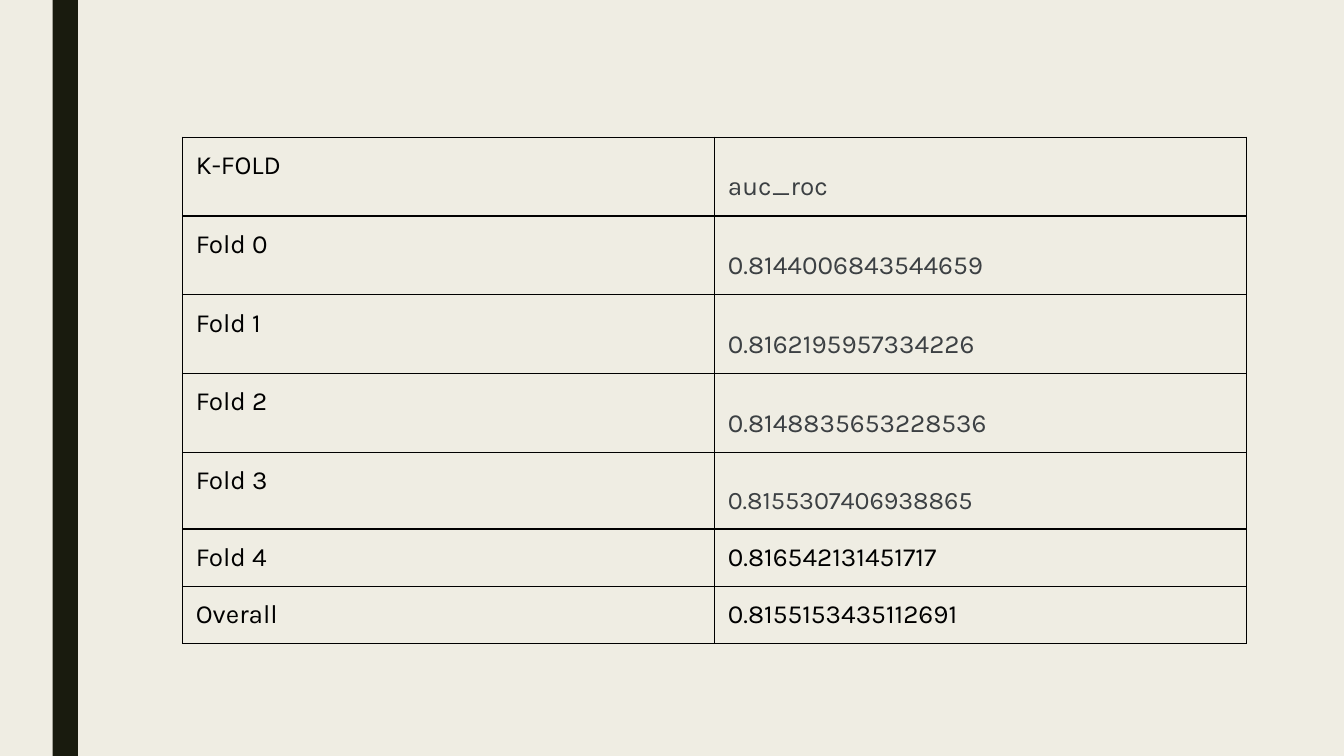
import pptx
import pptx.util
import pptx.dml.color
import pptx.enum.shapes
import pptx.oxml
import pptx.oxml.ns
from dataclasses import dataclass

Pt = pptx.util.Pt
RGB = pptx.dml.color.RGBColor.from_string


@dataclass(frozen=True)
class Theme:
    back: str = "EFEDE3"
    bar: str = "191B0E"
    ink: str = "000000"
    gray: str = "3C4043"
    font: str = "Karla"
    size: float = 14
    small: float = 13.5
    pad: float = 7.2
    rule: float = 0.75
    lead: float = 1.7


THEME = Theme()

# Label, score, whether the score is gray and widely led, score size
ROWS = [
    ("K-FOLD", "auc_roc", True, THEME.size),
    ("Fold 0", "0.8144006843544659", True, THEME.size),
    ("Fold 1", "0.8162195957334226", True, THEME.size),
    ("Fold 2", "0.8148835653228536", True, THEME.size),
    ("Fold 3", "0.8155307406938865", True, THEME.small),
    ("Fold 4", "0.816542131451717", False, THEME.size),
    ("Overall", "0.8155153435112691", False, THEME.size),
]


def add_bar(slide, left, top, width, height):
    bar = slide.shapes.add_shape(
        pptx.enum.shapes.MSO_SHAPE.RECTANGLE,
        Pt(left), Pt(top), Pt(width), Pt(height))
    bar.shadow.inherit = False
    bar.fill.solid()
    bar.fill.fore_color.rgb = RGB(THEME.bar)
    bar.line.fill.background()


def set_edges(cell):
    props = cell._tc.get_or_add_tcPr()
    for side in ("lnL", "lnR", "lnT", "lnB"):
        props.append(pptx.oxml.parse_xml(
            f'<a:{side} {pptx.oxml.ns.nsdecls("a")} w="{Pt(THEME.rule)}">'
            f'<a:solidFill><a:srgbClr val="{THEME.ink}"/></a:solidFill>'
            f'</a:{side}>'))


def set_cell(cell, text, size, wide=False):
    set_edges(cell)
    cell.fill.background()
    cell.margin_left = cell.margin_right = Pt(THEME.pad)
    cell.margin_top = cell.margin_bottom = Pt(THEME.pad)
    para = cell.text_frame.paragraphs[0]
    para.text = text
    if wide:
        para.line_spacing = THEME.lead
    font = para.runs[0].font
    font.name = THEME.font
    font.size = Pt(size)
    font.bold = False
    font.color.rgb = RGB(THEME.gray if wide else THEME.ink)


def add_scores(slide, left, top, width, height):
    frame = slide.shapes.add_table(
        len(ROWS), 2, Pt(left), Pt(top), Pt(width), Pt(height))
    table = frame.table
    table.first_row = table.horz_banding = False
    for row, (label, score, wide, size) in zip(table.rows, ROWS):
        row.height = Pt(30.5)
        set_cell(row.cells[0], label, THEME.size)
        set_cell(row.cells[1], score, size, wide)
    table.rows[0].height = Pt(28.1)
    frame.height = Pt(height)


def main():
    deck = pptx.Presentation()
    deck.slide_width, deck.slide_height = Pt(720), Pt(405)
    slide = deck.slides.add_slide(deck.slide_layouts[6])
    fill = slide.background.fill
    fill.solid()
    fill.fore_color.rgb = RGB(THEME.back)

    # Side bar
    add_bar(slide, 28.2, 0, 13.6, 405)
    # Table of scores per fold
    add_scores(slide, 97.75, 73.5, 570, 257.8)

    deck.save("out.pptx")


if __name__ == "__main__":
    main()
